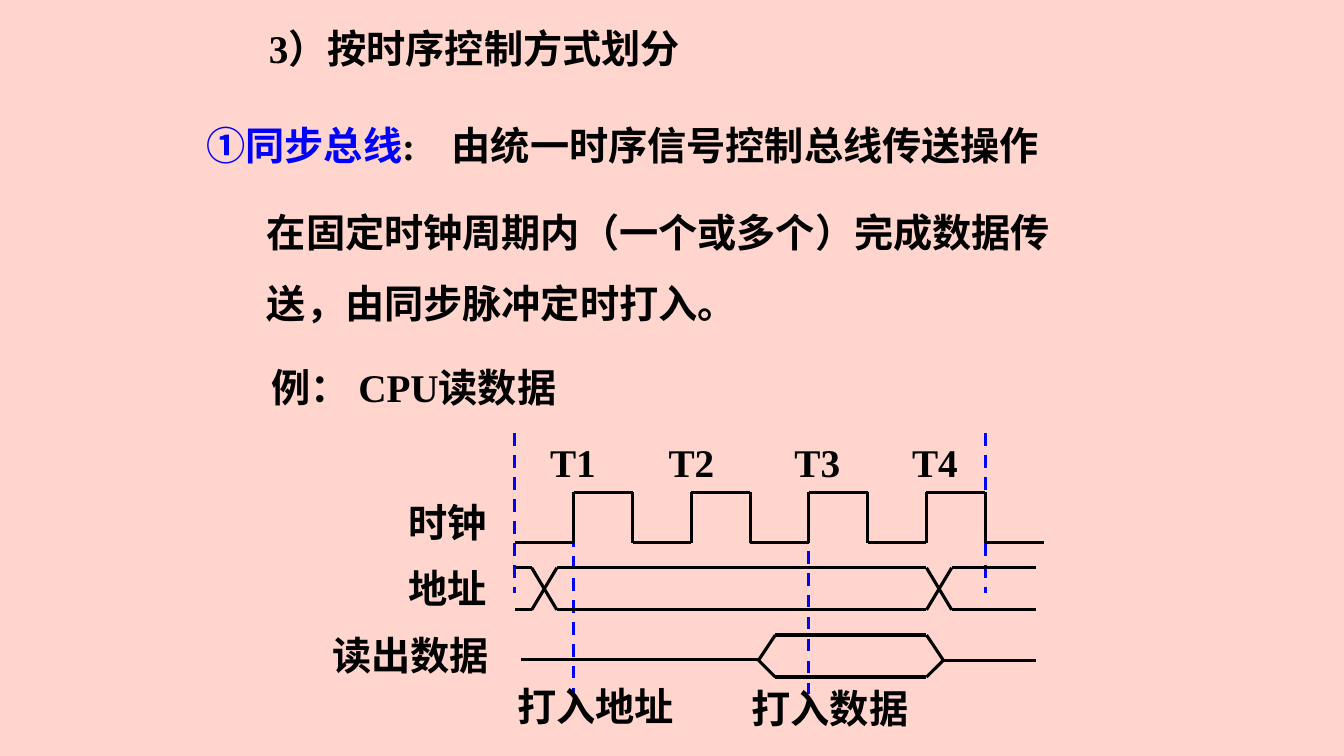
from itertools import pairwise
from pptx import Presentation
from pptx.dml.color import RGBColor
from pptx.enum.dml import MSO_LINE_DASH_STYLE as Dash
from pptx.enum.shapes import MSO_CONNECTOR as Conn
from pptx.enum.text import MSO_ANCHOR as Anchor, MSO_AUTO_SIZE as Fit, PP_ALIGN as Align
from pptx.oxml.ns import qn
from pptx.util import Inches, Pt

COLS, ROWS = 160, 90            # slide grid, one cell is 1/12 inch
LEFT, TOP = 61.3, 51.6          # grid origin of the timing diagram
PERIOD, CYCLES = 14, 4          # clock period in columns, number of cycles
BLACK, BLUE, PINK = "000000", "0000FF", "FFD5CD"


def color(value):
    return RGBColor.from_string(value)


class Page:
    font = {"name": "Times New Roman", "size": Pt(28), "bold": True}
    frame = {"word_wrap": True, "auto_size": Fit.NONE, "vertical_anchor": Anchor.TOP}

    def __init__(self, prs):
        self.w, self.h = prs.slide_width, prs.slide_height
        self.s = prs.slides.add_slide(prs.slide_layouts[5])
        fill = self.s.background.fill
        fill.solid()
        fill.fore_color.rgb = color(PINK)

    def x(self, col):
        return round(self.w * col / COLS)

    def y(self, row):
        return round(self.h * row / ROWS)

    def fill_text(self, sp, runs, spacing):
        tf = sp.text_frame
        for key, value in self.frame.items():
            setattr(tf, key, value)
        p = tf.paragraphs[0]
        p.alignment, p.line_spacing = Align.LEFT, spacing
        for text, ink in runs:
            r = p.add_run()
            r.text = text
            for key, value in self.font.items():
                setattr(r.font, key, value)
            r.font.color.rgb = color(ink)

    def title(self, text, col, row, width, height=6.8):
        sp = self.s.shapes.title
        sp.left, sp.top = self.x(col), self.y(row)
        sp.width, sp.height = self.x(width), self.y(height)
        self.fill_text(sp, [(text, BLACK)], 1)

    def text(self, runs, col, row, width, height=6.8, spacing=1):
        if isinstance(runs, str):
            runs = [(runs, BLACK)]
        sp = self.s.shapes.add_textbox(self.x(col), self.y(row), self.x(width), self.y(height))
        self.fill_text(sp, runs, spacing)

    def wire(self, *points, ink=BLACK, width=2.25, dash=None):
        """Join diagram points by straight lines."""
        for (x1, y1), (x2, y2) in pairwise(points):
            line = self.s.shapes.add_connector(
                Conn.STRAIGHT, self.x(LEFT + x1), self.y(TOP + y1),
                self.x(LEFT + x2), self.y(TOP + y2))
            line.line.color.rgb = color(ink)
            line.line.width = Pt(width)
            if dash:
                line.line.dash_style = dash
            line._element.spPr.append(line._element.makeelement(qn("a:effectLst"), {}))


prs = Presentation()
prs.slide_width, prs.slide_height = Inches(13.33), Inches(7.5)
page = Page(prs)

# Heading and explanation
page.title("3）按时序控制方式划分", 30.8, 2.3, 69)
page.text([("①同步总线", BLUE), (":", BLACK)], 23.4, 13.9, 56)
page.text("由统一时序信号控制总线传送操作", 52.6, 13.8, 82.3)
page.text("在固定时钟周期内（一个或多个）完成数据传送，由同步脉冲定时打入。",
          30.6, 21.4, 99.7, 18.1, 1.5)
page.text("例： CPU读数据", 31.1, 42.6, 43.6)

# Dashed time marks: column, first row, last row
for col, start, end in [(0, 0, 19), (56, 0, 19), (7, 12, 31), (35, 14, 31)]:
    page.wire((col, start), (col, end), ink=BLUE, dash=Dash.DASH)

# Signal names, cycle names and strobe names
for name, col, row, width in [
        ("时钟", 47.4, 58.7, 18), ("地址", 47.4, 66.6, 18), ("读出数据", 38.4, 74.6, 25),
        ("T1", 64.3, TOP, 13), ("T2", 78.4, TOP, 13),
        ("T3", 93.4, TOP, 13), ("T4", 107.4, TOP, 13),
        ("打入地址", 60.4, 80.6, 25), ("打入数据", 88.3, 80.9, 25)]:
    page.text(name, col, row, width)

# Clock
HIGH, LOW, HALF = 7, 13, PERIOD / 2
clock = [(0, LOW)]
for start in range(0, PERIOD * CYCLES, PERIOD):
    rise, fall = start + HALF, start + PERIOD
    clock += [(rise, LOW), (rise, HIGH), (fall, HIGH), (fall, LOW)]
page.wire(*clock, (clock[-1][0] + HALF, LOW))
page.wire((4, 14), (4, 14), width=1)

# Address bus: two levels that swap at each crossing
for a, b in [(16, 21), (21, 16)]:
    page.wire((0, a), (2, a), (5, b), (49, b), (52, a), (62, a))

# Data read out: idle line, valid window, idle line
page.wire((0.7, 26.9), (29.1, 26.9))
for edge in (24, 29):
    page.wire((29, 27), (31, edge), (49, edge), (51, 27))
page.wire((51, 27), (62, 27))

prs.save("out.pptx")
